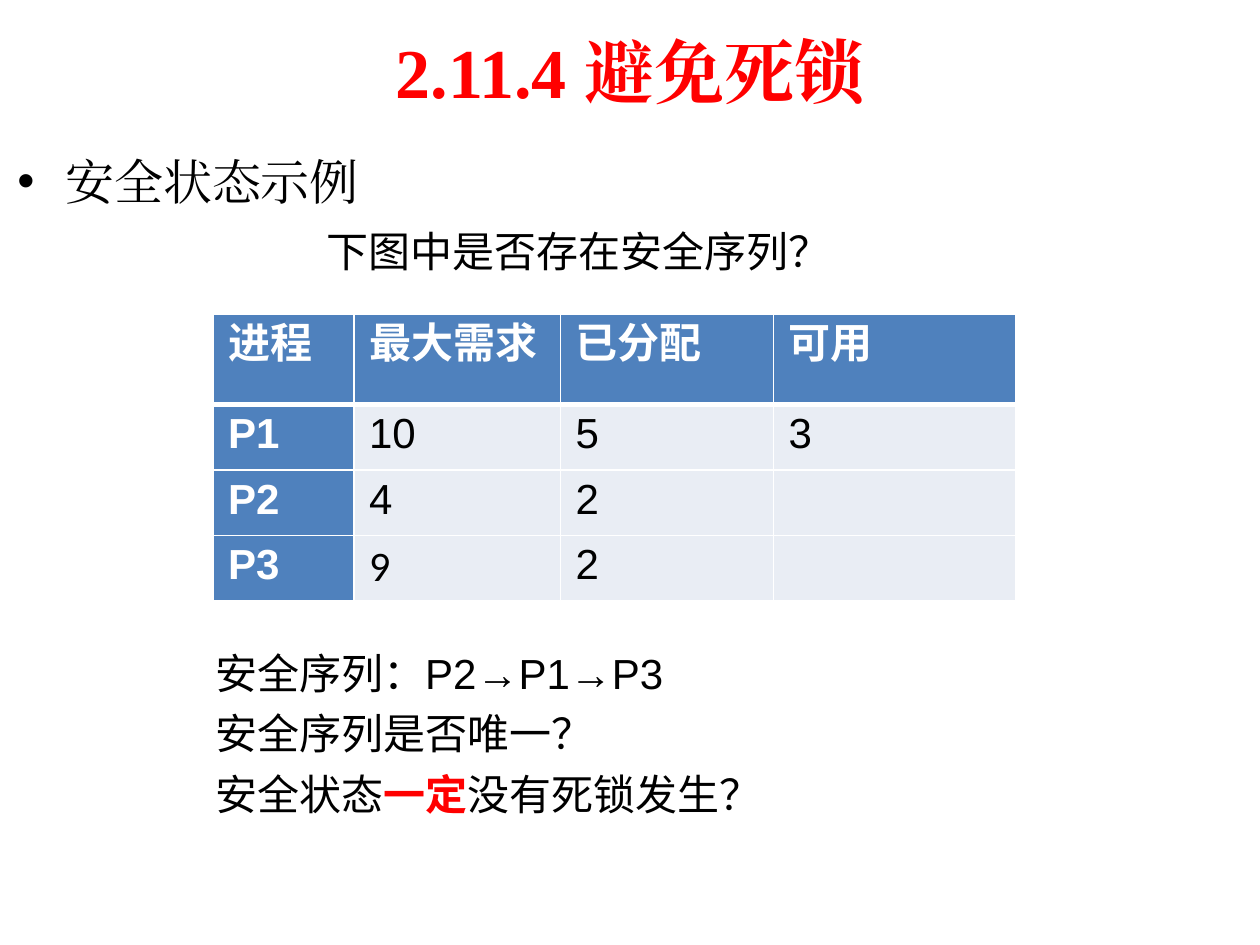
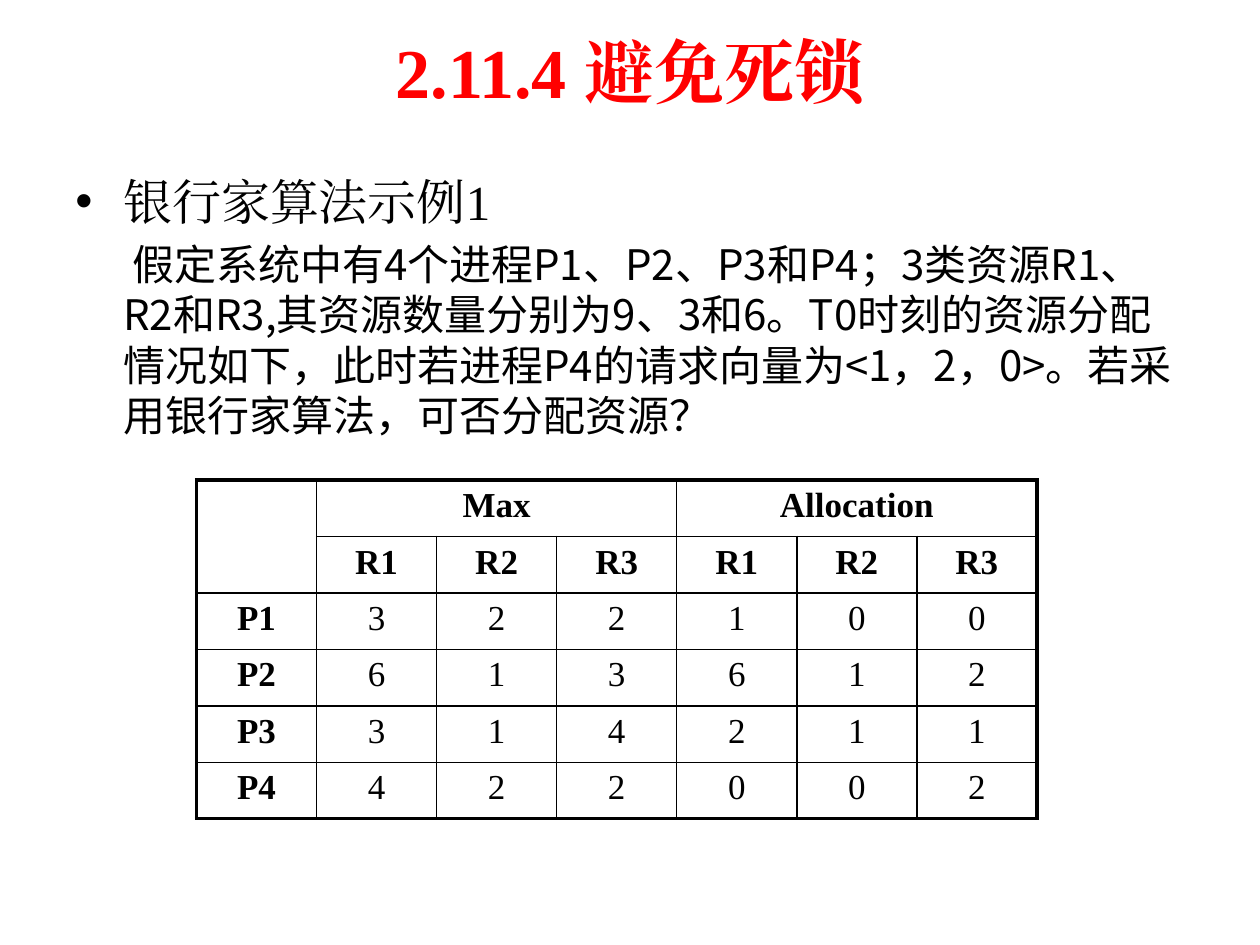
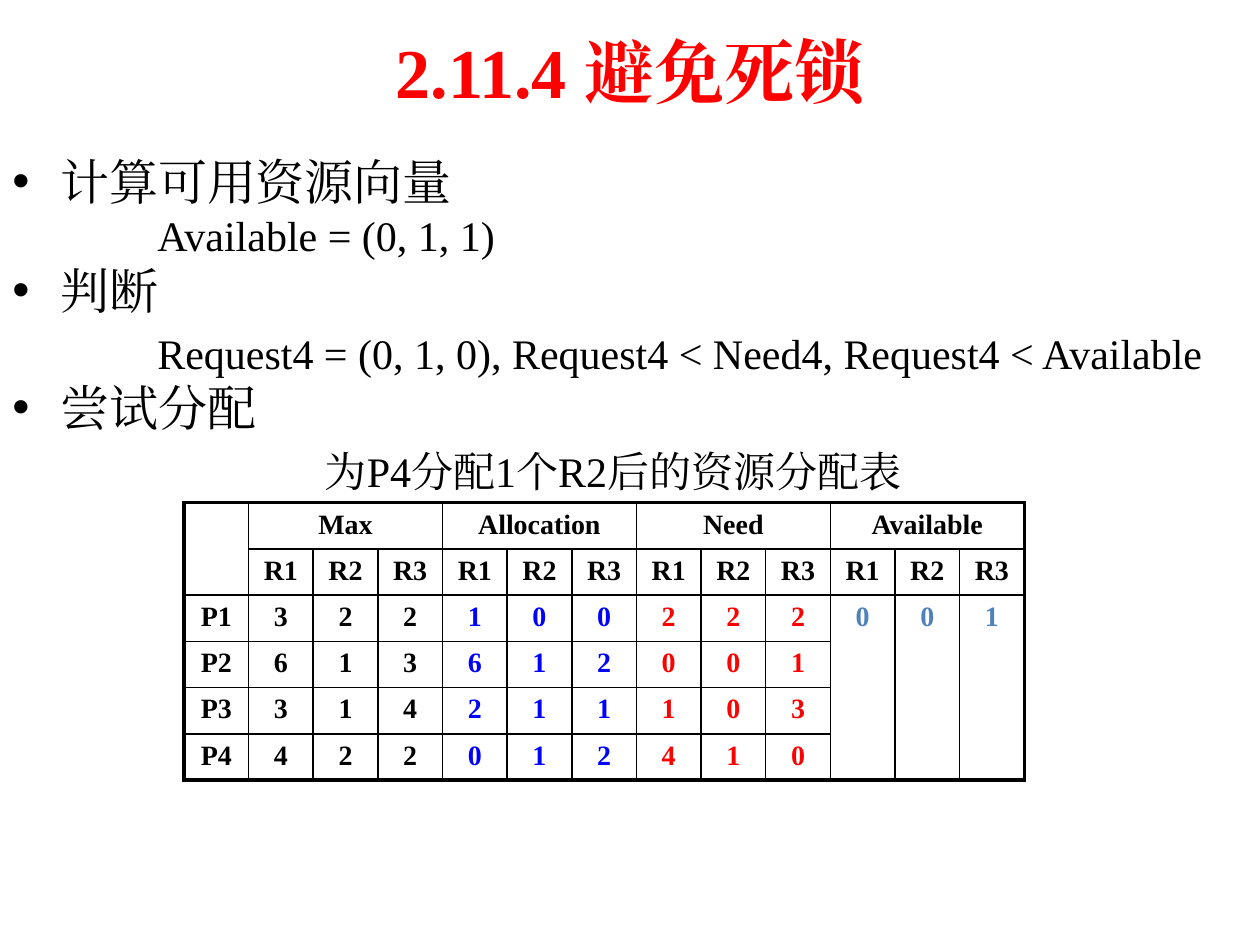
from dataclasses import dataclass

from lxml.etree import SubElement
from pptx import Presentation
from pptx.dml.color import RGBColor
from pptx.enum.text import MSO_ANCHOR as Anchor, PP_ALIGN as Align
from pptx.oxml.ns import qn
from pptx.util import Inches, Pt


@dataclass(frozen=True)
class Theme:
    black: str = "000000"
    white: str = "FFFFFF"
    red: str = "FF0000"
    need_red: str = "FE0000"
    blue: str = "0000FF"
    accent: str = "4F81BD"
    pale: str = "E9EDF4"
    serif: str = "Times New Roman"
    sans: str = "Arial"
    cjk: str = "Noto Sans CJK SC"
    digit: str = "Calibri"
    title: int = 40
    heading: int = 28
    body: int = 24
    grid: int = 20
    small_grid: int = 16
    thin: float = 1
    header_rule: float = 3
    frame: float = 2.25


THEME = Theme()
TITLE = "2.11.4 避免死锁"
BULLET_INDENT = 0.38
RESOURCES = ["R1", "R2", "R3"]


# ---- Text helpers ----
def style_run(run, font, size, color=THEME.black, bold=False):
    run.font.name, run.font.size, run.font.bold = font, Pt(size), bold
    run.font.color.rgb = RGBColor.from_string(color)
    east_asian = SubElement(run._r.get_or_add_rPr(), qn("a:ea"))
    east_asian.set("typeface", font)


def style_para(para, font, size, color=THEME.black, bold=False, before=0.0):
    para.space_before = Pt(before)
    for run in para.runs:
        style_run(run, font, size, color, bold)


def indent(para, left, first=0.0):
    props = para._p.get_or_add_pPr()
    props.set("marL", str(Inches(left)))
    props.set("indent", str(Inches(first)))
    return props


def add_bullet(para):
    props = indent(para, BULLET_INDENT, -BULLET_INDENT)
    SubElement(props, qn("a:buFont")).set("typeface", THEME.sans)
    SubElement(props, qn("a:buChar")).set("char", "•")


def add_text(page, box, lines):
    """Add a wrapping text box and return its paragraphs."""
    frame = page.shapes.add_textbox(*map(Inches, box)).text_frame
    frame.word_wrap = True
    frame.text = "\n".join(lines)
    return frame.paragraphs


def add_page(deck):
    page = deck.slides.add_slide(deck.slide_layouts[6])
    para, = add_text(page, (0.5, 0.05, 9, 1.02), [TITLE])
    page.shapes[0].text_frame.vertical_anchor = Anchor.MIDDLE
    para.alignment = Align.CENTER
    style_para(para, THEME.serif, THEME.title, THEME.red, True)
    return page


# ---- Table helpers ----
def add_grid(page, box, row_heights, column_widths):
    shape = page.shapes.add_table(len(row_heights), len(column_widths), *map(Inches, box))
    table = shape.table
    table.first_row = table.horz_banding = False
    for row, height in zip(table.rows, row_heights):
        row.height = Inches(height)
    for column, width in zip(table.columns, column_widths):
        column.width = Inches(width)
    return table


def set_borders(cell, color, left, right, top, bottom):
    props = cell._tc.get_or_add_tcPr()
    for side, width in zip("LRTB", (left, right, top, bottom)):
        line = SubElement(props, qn(f"a:ln{side}"), w=str(Pt(width)))
        fill = SubElement(line, qn("a:solidFill"))
        SubElement(fill, qn("a:srgbClr"), val=color)


def fill_cell(cell, color=None):
    if color:
        cell.fill.solid()
        cell.fill.fore_color.rgb = RGBColor.from_string(color)
    else:
        cell.fill.background()


def write_cell(cell, text, font, size, color, bold, align=Align.LEFT):
    cell.text = text
    para = cell.text_frame.paragraphs[0]
    para.alignment = align
    style_para(para, font, size, color, bold, 0.2 * size)
    if not text:
        SubElement(para._p, qn("a:endParaRPr"), sz=str(size * 100))


def add_process_table(page, box):
    """Coloured table: header row and process column in the accent colour."""
    rows = [["进程", "最大需求", "已分配", "可用"],
            ["P1", "10", "5", "3"],
            ["P2", "4", "2", ""],
            ["P3", "9", "2", ""]]
    table = add_grid(page, box, [0.72] + [0.52] * 3, [1.12, 1.64, 1.69, 1.92])
    for r, values in enumerate(rows):
        for c, value in enumerate(values):
            cell, is_header = table.cell(r, c), r == 0 or c == 0
            cell.margin_left = cell.margin_right = Inches(0.12)
            font = THEME.digit if value == "9" else THEME.sans
            write_cell(cell, value, font, THEME.body,
                       THEME.white if is_header else THEME.black, is_header)
            set_borders(cell, THEME.white, THEME.thin, THEME.thin,
                        THEME.header_rule if r == 1 else THEME.thin,
                        THEME.header_rule if r == 0 else THEME.thin)
            fill_cell(cell, THEME.accent if is_header else THEME.pale)


def add_matrix_table(page, box, groups, rows, size, bold_values=False):
    """Ruled table: groups maps each heading to the colour of its three columns.

    A row that is shorter than the table leaves its last columns to the merged
    cells of the first process.
    """
    step = len(RESOURCES)
    colors = [THEME.black] + [color for color in groups.values() for _ in RESOURCES]
    head = [""]
    for name in groups:
        head += [name] + [""] * (step - 1)
    grid = [head, [""] + RESOURCES * len(groups)] + rows
    row_count, column_count = len(grid), len(head)
    table = add_grid(page, box, [box[3] / row_count] * row_count,
                     [box[2] / column_count] * column_count)

    # Merged corner, group headings and shared columns
    table.cell(0, 0).merge(table.cell(1, 0))
    for c in range(1, column_count, step):
        table.cell(0, c).merge(table.cell(0, c + step - 1))
    for c in range(len(rows[-1]), column_count):
        table.cell(2, c).merge(table.cell(row_count - 1, c))

    for r, values in enumerate(grid):
        for c in range(column_count):
            cell = table.cell(r, c)
            is_header = r < 2 or c == 0
            write_cell(cell, values[c] if c < len(values) else "", THEME.serif, size,
                       THEME.black if is_header else colors[c],
                       is_header or bold_values, Align.CENTER)
            if not cell.is_spanned:
                right = c + (cell.span_width if cell.is_merge_origin else 1)
                bottom = r + (cell.span_height if cell.is_merge_origin else 1)
                outer = (c == 0, right == column_count, r == 0, bottom == row_count)
                set_borders(cell, THEME.black,
                            *(THEME.frame if edge else THEME.thin for edge in outer))
            fill_cell(cell)


# ---- Slides ----
def add_safe_state_slide(deck):
    page = add_page(deck)
    heading, question = add_text(page, (0.04, 1.15, 9, 4.95),
                                 ["安全状态示例", "下图中是否存在安全序列？"])
    style_para(heading, THEME.serif, THEME.heading)
    add_bullet(heading)
    style_para(question, THEME.sans, THEME.body, before=9)
    indent(question, 2.45)

    add_process_table(page, (1.69, 2.49, 6.37, 2.28))

    # Answers below the table
    answers = add_text(page, (1.61, 5.01, 6.22, 1.86),
                       ["安全序列：P2→P1→P3", "安全序列是否唯一？", "安全状态"])
    for text in ("一定", "没有死锁发生？"):
        answers[-1].add_run().text = text
    for para in answers:
        para.line_spacing = 1.2
        style_para(para, THEME.sans, THEME.body)
    certain = answers[-1].runs[1].font
    certain.bold = True
    certain.color.rgb = RGBColor.from_string(THEME.red)


def add_banker_slide(deck):
    page = add_page(deck)
    heading, problem = add_text(page, (0.5, 1.31, 9, 4.95), [
        "银行家算法示例1",
        "假定系统中有4个进程P1、P2、P3和P4；3类资源R1、R2和R3,其资源数量分别为9、3和6。"
        "T0时刻的资源分配情况如下，此时若进程P4的请求向量为<1，2，0>。"
        "若采用银行家算法，可否分配资源？"])
    style_para(heading, THEME.serif, THEME.heading)
    add_bullet(heading)
    style_para(problem, THEME.cjk, THEME.body, before=0.2 * THEME.body)
    indent(problem, BULLET_INDENT, 0.07)

    add_matrix_table(page, (1.56, 3.81, 6.67, 2.69),
                     {"Max": THEME.black, "Allocation": THEME.black},
                     [["P1", *"322100"], ["P2", *"613612"],
                      ["P3", *"314211"], ["P4", *"422002"]], THEME.grid)


def add_allocation_slide(deck):
    page = add_page(deck)
    paras = add_text(page, (0, 1.15, 10.28, 5.47), [
        "计算可用资源向量", "Available = (0, 1, 1)",
        "判断", "Request4 = (0, 1, 0), Request4 < Need4, Request4 < Available",
        "尝试分配"])
    for heading in paras[::2]:
        style_para(heading, THEME.serif, THEME.heading)
        add_bullet(heading)
    for formula, before in zip(paras[1::2], (0, 4.5)):
        style_para(formula, THEME.serif, THEME.body, before=before)
        indent(formula, 1.15)

    caption, = add_text(page, (2.48, 3.49, 5.28, 0.5), ["为P4分配1个R2后的资源分配表"])
    style_para(caption, THEME.serif, THEME.body)

    add_matrix_table(page, (1.46, 3.99, 6.67, 2.2),
                     {"Max": THEME.black, "Allocation": THEME.blue,
                      "Need": THEME.need_red, "Available": THEME.accent},
                     [["P1", *"322100222001"], ["P2", *"613612001"],
                      ["P3", *"314211103"], ["P4", *"422012410"]],
                     THEME.small_grid, bold_values=True)


def main():
    deck = Presentation()
    deck.slide_width, deck.slide_height = Inches(10), Inches(7.5)
    add_safe_state_slide(deck)
    add_banker_slide(deck)
    add_allocation_slide(deck)
    deck.save("out.pptx")


if __name__ == "__main__":
    main()
